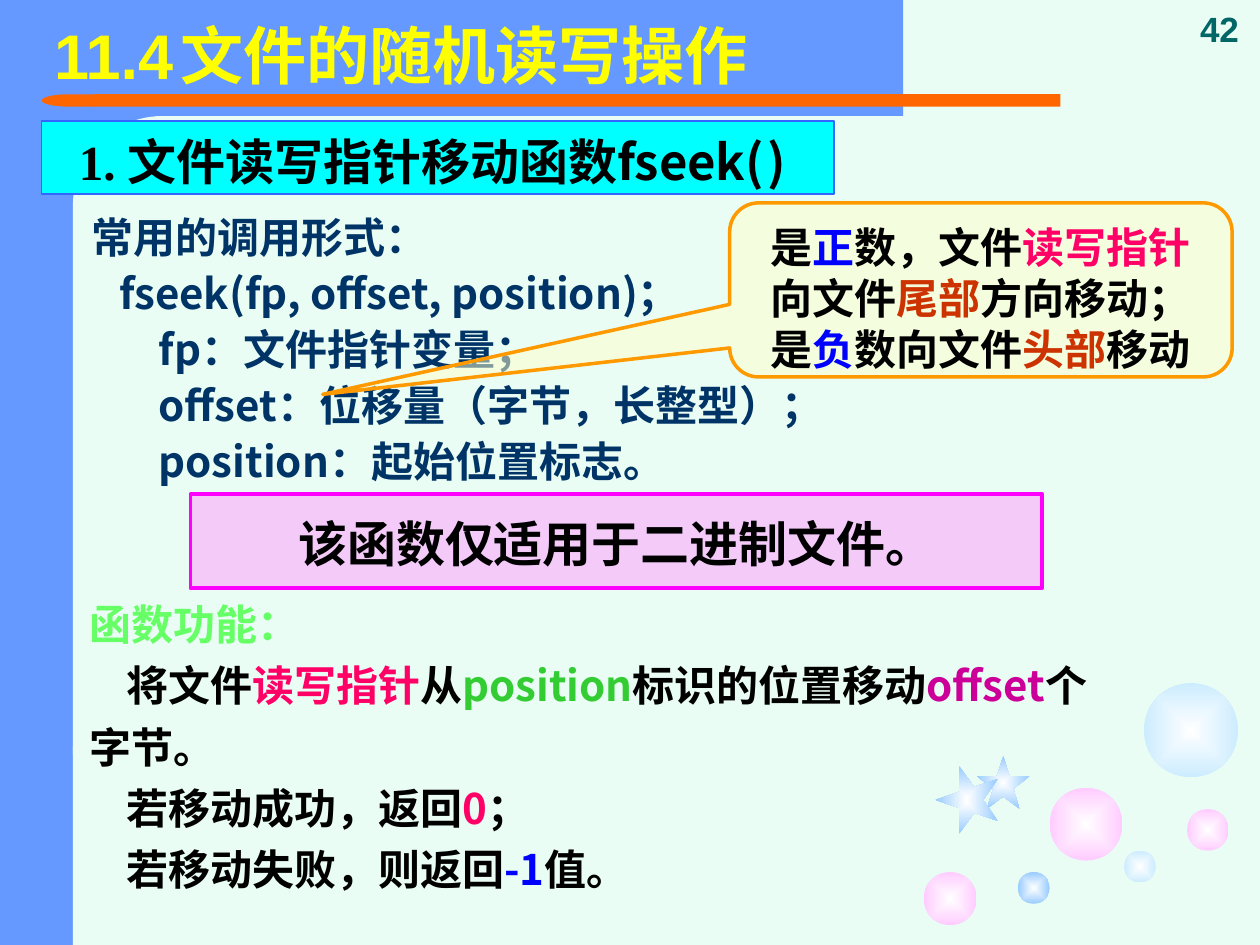
from lxml.etree import SubElement
from pptx import Presentation
from pptx.dml.color import RGBColor
from pptx.enum.shapes import MSO_SHAPE as Shape
from pptx.enum.text import MSO_ANCHOR as Anchor, MSO_AUTO_SIZE as AutoSize, PP_ALIGN as Align
from pptx.oxml.ns import qn
from pptx.util import Cm, Pt

rgb = RGBColor.from_string
BLACK, WHITE, NAVY = rgb("000000"), rgb("FFFFFF"), rgb("003366")
BLUE, PINK, RUST = rgb("0000FF"), rgb("FF0066"), rgb("CC3300")
GREEN, LIME, PURPLE = rgb("33CC33"), rgb("66FF66"), rgb("CC0099")
YELLOW, TEAL, CYAN = rgb("FFFF00"), rgb("006666"), rgb("00FFFF")
MINT, SIDE, ORANGE = rgb("E9FDF4"), rgb("6699FF"), rgb("FF6600")
BUBBLE_PINK, BUBBLE_PALE, BUBBLE_BLUE = rgb("FFCCFF"), rgb("CCECFF"), rgb("99CCFF")
CREAM, AMBER = rgb("FFFFCC"), rgb("FF9900")
ROSE, MAGENTA, HEAD_LINE = rgb("FF99FF"), rgb("FF00FF"), rgb("3366FF")
CJK = "Noto Sans CJK SC"

# Paragraph: (left indent in cm, runs); run: (text, colour[, size[, font]])
TITLE = [(0, [("11.4\t文件的随机读写操作", YELLOW)])]
PAGE = [(0, [("42", TEAL)])]
HEADING = [(0.5, [("1. ", BLACK, 28, "Times New Roman"), ("文件读写指针移动函数fseek(", BLACK),
                  (" ", BLACK, 9), (")", BLACK)])]
CALLS = [
    (0, [("常用的调用形式：", NAVY)]),
    (0.55, [("fseek(fp, offset, position)；", NAVY)]),
    (1.35, [("fp：文件指针变量；", NAVY)]),
    (1.35, [("offset：位移量（字节，长整型）；", NAVY)]),
    (1.35, [("position：起始位置标志。", NAVY)]),
]
EFFECTS = [
    (0, [("函数功能：", LIME)]),
    (0.75, [("将文件", BLACK), ("读写指针", PINK), ("从", BLACK), ("position", GREEN),
            ("标识的位置移动", BLACK), ("offset", PURPLE), ("个", BLACK)]),
    (0, [("字节。", BLACK)]),
    (0.75, [("若移动成功，返回", BLACK), ("0", PINK), ("；", BLACK)]),
    (0.75, [("若移动失败，则返回", BLACK), ("-1", BLUE), ("值。", BLACK)]),
]
OFFSET_SIGN = [(0, [
    ("是", BLACK), ("正", BLUE), ("数，文件", BLACK), ("读写指针", PINK), ("向文件", BLACK),
    ("尾部", RUST), ("方向移动；是", BLACK), ("负", BLUE), ("数向文件", BLACK),
    ("头部", RUST), ("移动", BLACK)])]
NOTE = [(0, [("该函数仅适用于二进制文件。", BLACK)])]

# Preset, box (left, top, width, height in cm), colour
BACKDROP = [
    (Shape.RECTANGLE, (0, 0, 3.18, 19.05), SIDE),
    (Shape.RECTANGLE, (1.27, 0, 16.94, 2.34), SIDE),
    (Shape.ROUNDED_RECTANGLE, (1.47, 2.34, 3.61, 14.6), MINT),
    (Shape.RECTANGLE, (1.9, 1.9, 19.48, 0.25), ORANGE),
    (Shape.FLOWCHART_DELAY, (0.84, 1.9, 1.09, 0.25), ORANGE),
    (Shape.RECTANGLE, (1.47, 15.04, 3.61, 4.01), MINT),
]
# Left, top, diameter, edge colour
BUBBLES = [
    (21.16, 15.88, 1.47, BUBBLE_PINK), (18.62, 17.58, 1.07, BUBBLE_PINK),
    (22.66, 17.15, 0.64, BUBBLE_PALE), (23.93, 16.31, 0.84, BUBBLE_PINK),
    (23.06, 13.77, 1.9, BUBBLE_PALE), (20.52, 17.58, 0.64, BUBBLE_BLUE),
]
# Box, rotation
STARS = [((19.69, 15.24, 1.07, 1.07), 0), ((18.8, 15.49, 1.37, 1.27), 270)]


def add_shape(s, kind, box, colour=None, line=None, width=1, alpha=None):
    sp = s.shapes.add_shape(kind, *map(Cm, box))
    sp.shadow.inherit = False
    if colour is not None:
        sp.fill.solid()
        sp.fill.fore_color.rgb = colour
    if alpha:
        clr = sp.element.spPr.find(qn("a:solidFill")).find(qn("a:srgbClr"))
        SubElement(clr, qn("a:alpha")).set("val", str(alpha * 1000))
    if line is None:
        sp.line.fill.background()
    else:
        sp.line.color.rgb = line
        sp.line.width = Pt(width)
    return sp


def glow(sp, edge):
    """Fill from white in the centre to the edge colour."""
    sp.fill.gradient()
    for stop, colour in zip(sp.fill.gradient_stops, (WHITE, edge)):
        stop.color.rgb = colour
    grad = sp.element.spPr.find(qn("a:gradFill"))
    grad.remove(grad.find(qn("a:lin")))
    centre = SubElement(grad, qn("a:path"))
    centre.set("path", "rect")
    rect = SubElement(centre, qn("a:fillToRect"))
    for side in "ltrb":
        rect.set(side, "50000")


def write(sp, paragraphs, size=24, font=CJK, align=Align.LEFT, anchor=Anchor.TOP,
          gap=0, wrap=True, tab=None):
    tf = sp.text_frame
    tf.auto_size = AutoSize.NONE
    tf.word_wrap = wrap
    tf.vertical_anchor = anchor
    tf.margin_left = tf.margin_right = Cm(0.25)
    tf.margin_top, tf.margin_bottom = Cm(0.2), Cm(0.13)
    for i, (indent, runs) in enumerate(paragraphs):
        p = tf.add_paragraph() if i else tf.paragraphs[0]
        p.alignment = align
        p.line_spacing = Pt(round(size * 1.21))
        p.space_before = Pt(gap if i else 0)
        pPr = p._p.get_or_add_pPr()
        pPr.set("marL", str(Cm(indent)))
        pPr.set("indent", "0")
        if tab:
            stop = SubElement(SubElement(pPr, qn("a:tabLst")), qn("a:tab"))
            stop.set("pos", str(Cm(tab)))
            stop.set("algn", "l")
        for text, colour, *custom in runs:
            run_size, run_font = (custom + [size, font][len(custom):])
            r = p.add_run()
            r.text = text
            r.font.size, r.font.name, r.font.bold = Pt(run_size), run_font, True
            r.font.color.rgb = colour
            SubElement(r.font._element, qn("a:ea")).set("typeface", CJK)


def add_text(s, box, paragraphs, **fmt):
    write(s.shapes.add_textbox(*map(Cm, box)), paragraphs, **fmt)


def main():
    prs = Presentation()
    prs.slide_width, prs.slide_height = Cm(25.4), Cm(19.05)
    s = prs.slides.add_slide(prs.slide_layouts[5])
    s.background.fill.solid()
    s.background.fill.fore_color.rgb = MINT

    for kind, box, colour in BACKDROP:
        sp = add_shape(s, kind, box, colour)
        if kind == Shape.ROUNDED_RECTANGLE:
            sp.adjustments[0] = 0.5
        elif kind == Shape.FLOWCHART_DELAY:
            sp.rotation = 180
    for left, top, size, edge in BUBBLES:
        glow(add_shape(s, Shape.OVAL, (left, top, size, size)), edge)
    for box, angle in STARS:
        star = add_shape(s, Shape.STAR_5_POINT, box)
        star.rotation = angle
        glow(star, BUBBLE_BLUE)

    add_text(s, (23.77, 0, 1.63, 1.12), PAGE, size=20, font="Arial",
             align=Align.CENTER, anchor=Anchor.BOTTOM)
    add_text(s, (1.55, 11.86, 22.61, 6.83), EFFECTS, gap=6)
    add_text(s, (1.6, 4.06, 23.11, 6.63), CALLS, gap=3)

    title = s.shapes.title
    title.element.getparent().append(title.element)  # in front of the backdrop
    title.left, title.top, title.width, title.height = map(Cm, (0.84, 0, 21.39, 2.11))
    write(title, TITLE, size=36, font="Arial", anchor=Anchor.MIDDLE, tab=3.5)

    heading = add_shape(s, Shape.RECTANGLE, (0.84, 2.44, 15.98, 1.47), CYAN, HEAD_LINE)
    write(heading, HEADING, size=28)
    callout = add_shape(s, Shape.ROUNDED_RECTANGULAR_CALLOUT, (14.71, 4.09, 10.13, 3.51),
                        CREAM, AMBER, 2, alpha=50)
    callout.adjustments[0], callout.adjustments[1] = -1.31, 0.6
    write(callout, OFFSET_SIGN, align=Align.CENTER)
    note = add_shape(s, Shape.RECTANGLE, (3.84, 9.96, 17.17, 1.9), ROSE, MAGENTA, 2, alpha=50)
    write(note, NOTE, size=28, align=Align.CENTER, anchor=Anchor.MIDDLE, wrap=False)

    prs.save("out.pptx")


if __name__ == "__main__":
    main()
